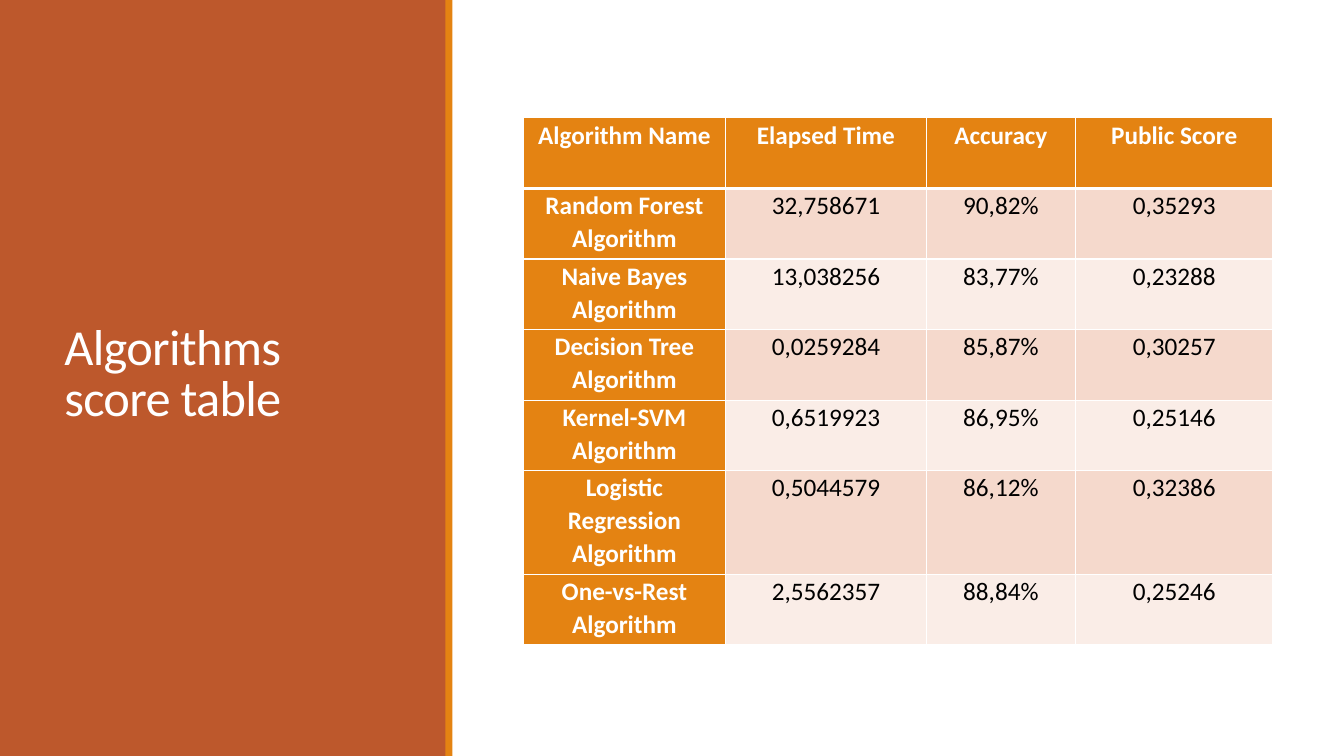
from lxml.etree import SubElement
from pptx import Presentation
from pptx.dml.color import RGBColor
from pptx.enum.shapes import MSO_SHAPE
from pptx.enum.text import MSO_ANCHOR, PP_ALIGN
from pptx.oxml import parse_xml
from pptx.oxml.ns import nsdecls, qn
from pptx.util import Pt

HEADER = ["Algorithm Name", "Elapsed Time", "Accuracy", "Public Score"]
SCORES = [
    ["Random Forest Algorithm", "32,758671", "90,82%", "0,35293"],
    ["Naive Bayes Algorithm", "13,038256", "83,77%", "0,23288"],
    ["Decision Tree Algorithm", "0,0259284", "85,87%", "0,30257"],
    ["Kernel-SVM Algorithm", "0,6519923", "86,95%", "0,25146"],
    ["Logistic Regression Algorithm", "0,5044579", "86,12%", "0,32386"],
    ["One-vs-Rest Algorithm", "2,5562357", "88,84%", "0,25246"],
]
COL_WIDTHS = [144.7, 143.3, 106.6, 141.1]
ROW_HEIGHTS = [50.4] * 5 + [74.2, 50.4]


def rgb(value):
    return RGBColor.from_string(value)


class ScoreSlide:
    """Holds the slide, its palette and its font."""

    font = "Calibri"
    white, black = "FFFFFF", "000000"
    rust, orange = "BD582C", "E48312"
    bands = ["F5D9CC", "FAEDE7"]

    def __init__(self, prs):
        self.s = prs.slides.add_slide(prs.slide_layouts[6])

    def bar(self, x, y, w, h, color):
        sp = self.s.shapes.add_shape(MSO_SHAPE.RECTANGLE, Pt(x), Pt(y), Pt(w), Pt(h))
        sp.shadow.inherit = False
        sp.fill.solid()
        sp.fill.fore_color.rgb = rgb(color)
        sp.line.fill.background()

    def style(self, r, size, color, bold=False):
        r.font.name = self.font
        r.font.size = Pt(size)
        r.font.bold = bold
        r.font.color.rgb = rgb(color)

    def title(self, x, y, w, h, text):
        tf = self.s.shapes.add_textbox(Pt(x), Pt(y), Pt(w), Pt(h)).text_frame
        tf.word_wrap = True
        tf.vertical_anchor = MSO_ANCHOR.MIDDLE
        tf.text = text
        p = tf.paragraphs[0]
        p.line_spacing = 0.85
        r = p.runs[0]
        self.style(r, 36, self.white)
        r._r.get_or_add_rPr().set("spc", "-50")

    def borders(self, cell, top, bottom):
        tcPr = cell._tc.get_or_add_tcPr()
        widths = {"lnL": 1, "lnR": 1, "lnT": top, "lnB": bottom}
        for i, (side, width) in enumerate(widths.items()):
            ln = parse_xml(f'<a:{side} {nsdecls("a")} w="{Pt(width)}"/>')
            fill = SubElement(ln, qn("a:solidFill"))
            SubElement(fill, qn("a:srgbClr")).set("val", self.white)
            tcPr.insert(i, ln)

    def cell(self, cell, text, fill, color, bold):
        cell.margin_left = cell.margin_right = Pt(8.64)
        cell.margin_top = cell.margin_bottom = 0
        cell.fill.solid()
        cell.fill.fore_color.rgb = rgb(fill)
        cell.text_frame.text = text
        p = cell.text_frame.paragraphs[0]
        p.alignment = PP_ALIGN.CENTER
        p.line_spacing = 1.07
        p.space_after = Pt(8)
        self.style(p.runs[0], 18, color, bold)

    def table(self, x, y, rows, widths, heights):
        table = self.s.shapes.add_table(
            len(rows), len(widths), Pt(x), Pt(y), Pt(sum(widths)), Pt(sum(heights))
        ).table
        table.first_col = True
        for col, width in zip(table.columns, widths):
            col.width = Pt(width)
        for i, (row, height) in enumerate(zip(rows, heights)):
            table.rows[i].height = Pt(height)
            for j, text in enumerate(row):
                cell = table.cell(i, j)
                if i == 0 or j == 0:
                    self.cell(cell, text, self.orange, self.white, True)
                else:
                    self.cell(cell, text, self.bands[(i - 1) % 2], self.black, False)
                self.borders(cell, 3 if i == 1 else 1, 3 if i == 0 else 1)


def main():
    prs = Presentation()
    prs.slide_width, prs.slide_height = Pt(960), Pt(540)
    slide = ScoreSlide(prs)
    slide.bar(0, 0, 319, 540, slide.rust)
    slide.title(38.9, 41, 242.6, 454.3, "Algorithms score table")
    slide.bar(318.2, 0, 5, 540, slide.orange)
    slide.table(373.7, 84.2, [HEADER] + SCORES, COL_WIDTHS, ROW_HEIGHTS)
    prs.save("out.pptx")


if __name__ == "__main__":
    main()
